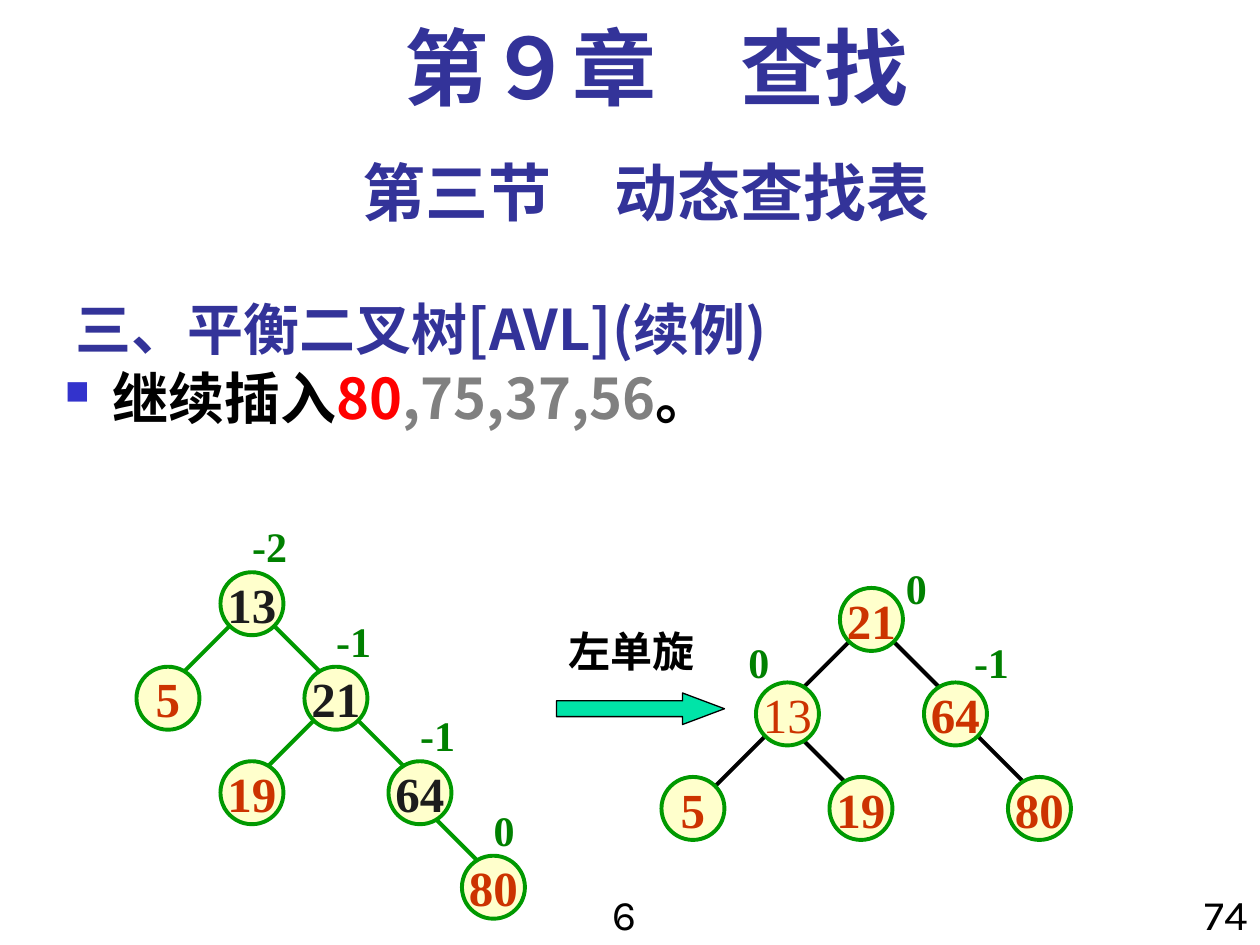
from lxml import etree
from pptx import Presentation
from pptx.dml.color import RGBColor
from pptx.enum.shapes import MSO_CONNECTOR, MSO_SHAPE
from pptx.enum.text import MSO_ANCHOR, PP_ALIGN
from pptx.oxml.ns import qn
from pptx.util import Pt

STRAIGHT = MSO_CONNECTOR.STRAIGHT
OVAL, RIGHT_ARROW = MSO_SHAPE.OVAL, MSO_SHAPE.RIGHT_ARROW
TOP, MIDDLE, BOTTOM = MSO_ANCHOR.TOP, MSO_ANCHOR.MIDDLE, MSO_ANCHOR.BOTTOM
LEFT, CENTER, RIGHT = PP_ALIGN.LEFT, PP_ALIGN.CENTER, PP_ALIGN.RIGHT


class Theme:
    serif, sans, cjk = "Times New Roman", "Karla", "Noto Sans CJK SC"
    heading, ink, dark = "333399", "000000", "1C1C1C"
    red, grey, bullet = "FF0000", "808080", "3333CC"
    node_fill, node_line, node_text = "FFFFCC", "009900", "CC3300"
    balance, arrow = "008000", "00E4A8"
    chapter_size, section_size, body_size, node_size, small_size = 48, 36, 32, 28, 24
    tree_line, arrow_line = 2.25, 0.75


CHAPTER = "第９章　查找"
SECTION = "第三节　动态查找表"
TOPIC = "三、平衡二叉树[AVL](续例)"
INSERTIONS = [("继续插入", Theme.ink), ("80", Theme.red),
              (",75,37,56", Theme.grey), ("。", Theme.ink)]
ROTATION = "左单旋"
FOOTERS = [("6", (336, 504, 42, 36), CENTER), ("74", (672, 504, 48, 42), RIGHT)]

# key: (parent, centre x, centre y, text colour, bold)
BEFORE = {
    "13": (None, 144, 345, Theme.dark, True),
    "5": ("13", 96, 399, Theme.node_text, True),
    "21": ("13", 192, 399, Theme.dark, True),
    "19": ("21", 144, 453, Theme.node_text, True),
    "64": ("21", 240, 453, Theme.dark, True),
    "80": ("64", 282, 507, Theme.node_text, True),
}
AFTER = {
    "21": (None, 498, 354, Theme.node_text, True),
    "13": ("21", 450, 408, Theme.node_text, False),
    "64": ("21", 546, 408, Theme.node_text, True),
    "5": ("13", 396, 462, Theme.node_text, True),
    "19": ("13", 492, 462, Theme.node_text, True),
    "80": ("64", 594, 462, Theme.node_text, True),
}
# key: (balance factor, label offset from the node centre)
BEFORE_BALANCE = {"13": ("-2", -7, -51), "21": ("-1", -7, -51),
                  "64": ("-1", -7, -51), "80": ("0", -7, -51)}
AFTER_BALANCE = {"21": ("0", 12.5, -36), "13": ("0", -29.5, -48),
                 "64": ("-1", 3.5, -48)}
NODE_SIZE = 36
EDGE_RISE, EDGE_DROP = 42, 6


def color(value):
    return RGBColor.from_string(value)


def add_span(para, text, size, ink, font, bold=True):
    span = para.add_run()
    span.text = text
    span.font.size, span.font.bold = Pt(size), bold
    span.font.color.rgb = color(ink)
    span.font.name = font
    east_asian = etree.SubElement(span.font._element, qn("a:ea"))
    east_asian.set("typeface", Theme.cjk)


def set_frame(shape, anchor, wrap, align):
    frame = shape.text_frame
    frame.word_wrap, frame.vertical_anchor = wrap, anchor
    para = frame.paragraphs[0]
    para.alignment = align
    return para


def add_text(page, place, spans, size, font, align=LEFT, anchor=TOP, wrap=True, bold=True):
    box = page.shapes.add_textbox(*map(Pt, place))
    para = set_frame(box, anchor, wrap, align)
    for text, ink in spans:
        add_span(para, text, size, ink, font, bold)
    return para


def add_bullet(para):
    props = para._p.get_or_add_pPr()
    props.set("marL", str(Pt(27)))
    props.set("indent", str(Pt(-27)))
    bullet_color = etree.SubElement(props, qn("a:buClr"))
    etree.SubElement(bullet_color, qn("a:srgbClr")).set("val", Theme.bullet)
    etree.SubElement(props, qn("a:buSzPct")).set("val", "60000")
    etree.SubElement(props, qn("a:buChar")).set("char", "■")


def add_preset(page, kind, place, fill, line, width):
    shape = page.shapes.add_shape(kind, *map(Pt, place))
    shape.shadow.inherit = False
    shape.fill.solid()
    shape.fill.fore_color.rgb = color(fill)
    shape.line.color.rgb = color(line)
    shape.line.width = Pt(width)
    return shape


def add_edge(page, parent, child, ink):
    """Draw a 45-degree edge that meets the child on its vertical axis."""
    across, down = parent[1] - child[1], child[2] - parent[2]
    drop = min(EDGE_DROP, down - abs(across))
    run = EDGE_RISE - drop
    x, y = child[1:3]
    start_x = x + (run if across > 0 else -run)
    edge = page.shapes.add_connector(
        STRAIGHT, Pt(start_x), Pt(y - EDGE_RISE), Pt(x), Pt(y - drop))
    edge.line.color.rgb = color(ink)
    edge.line.width = Pt(Theme.tree_line)
    etree.SubElement(edge._element.spPr, qn("a:effectLst"))


def add_tree(page, nodes, balances, edge_ink):
    for node in nodes.values():
        if node[0]:
            add_edge(page, nodes[node[0]], node, edge_ink)
    for key, (_, x, y, ink, bold) in nodes.items():
        place = (x - NODE_SIZE / 2, y - NODE_SIZE / 2, NODE_SIZE, NODE_SIZE)
        circle = add_preset(page, OVAL, place, Theme.node_fill,
                            Theme.node_line, Theme.tree_line)
        para = set_frame(circle, MIDDLE, False, CENTER)
        add_span(para, key, Theme.node_size, ink, Theme.serif, bold)
    for key, (factor, shift_x, shift_y) in balances.items():
        _, x, y = nodes[key][:3]
        width = 26 if len(factor) == 1 else 34.5
        add_text(page, (x + shift_x, y + shift_y, width, 36), [(factor, Theme.balance)],
                 Theme.small_size, Theme.serif, wrap=False)


def main():
    deck = Presentation()
    deck.slide_width, deck.slide_height = Pt(720), Pt(540)
    page = deck.slides.add_slide(deck.slide_layouts[6])

    chapter = add_text(page, (48, 12, 654, 60), [(CHAPTER, Theme.heading)],
                       Theme.chapter_size, Theme.serif, CENTER)
    chapter.line_spacing = 0.9
    add_text(page, (36, 84, 666, 50.5), [(SECTION, Theme.heading)],
             Theme.section_size, Theme.sans, CENTER)
    add_text(page, (36, 156, 558, 54), [(TOPIC, Theme.heading)],
             Theme.body_size, Theme.cjk, anchor=BOTTOM)
    add_bullet(add_text(page, (30, 204, 690, 336), INSERTIONS,
                        Theme.body_size, Theme.cjk))

    add_tree(page, BEFORE, BEFORE_BALANCE, Theme.node_line)
    add_tree(page, AFTER, AFTER_BALANCE, Theme.ink)

    arrow = add_preset(page, RIGHT_ARROW, (318, 396, 96, 18), Theme.arrow,
                       Theme.ink, Theme.arrow_line)
    arrow.adjustments[0], arrow.adjustments[1] = 0.5, 1.33
    add_text(page, (318, 354, 86.5, 36), [(ROTATION, Theme.ink)],
             Theme.small_size, Theme.serif, wrap=False)

    for text, place, align in FOOTERS:
        add_text(page, place, [(text, Theme.ink)], Theme.small_size, Theme.sans,
                 align, bold=False)
    deck.save("out.pptx")


if __name__ == "__main__":
    main()
